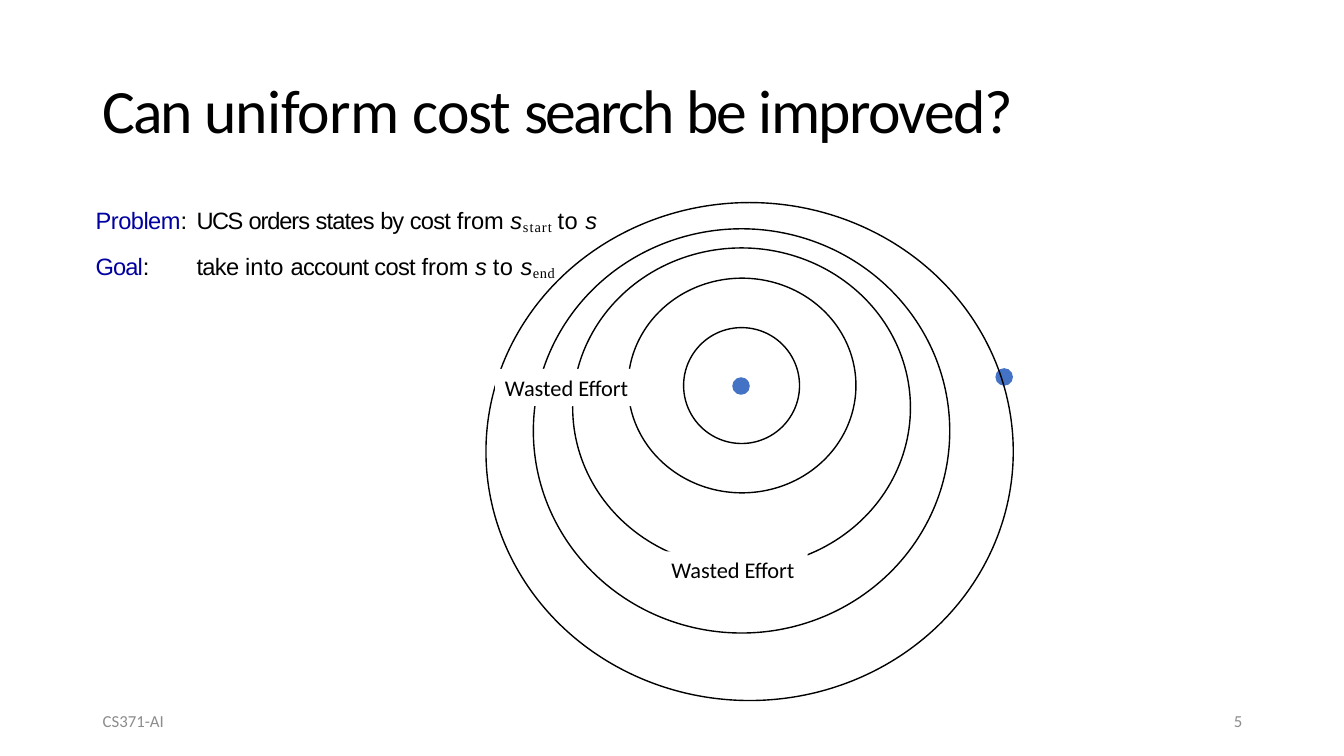
from dataclasses import dataclass

from lxml import etree
from pptx import Presentation
from pptx import util as u
from pptx.dml.color import RGBColor
from pptx.enum import shapes, text
from pptx.oxml import ns

PX = 9144


@dataclass(frozen=True)
class Theme:
    ink: str = "000000"
    paper: str = "FFFFFF"
    accent: str = "4472C4"
    term: str = "0000A0"
    muted: str = "8C8C8C"
    sans: str = "Calibri"
    body: str = "Arial"
    serif: str = "Times New Roman"
    title_size: float = 44
    label_size: float = 16
    body_size: float = 16.9
    sub_size: float = 17.7
    footer_size: float = 12


class SlideBuilder:
    def __init__(self, deck, theme):
        self.page = deck.slides.add_slide(deck.slide_layouts[6])
        self.theme = theme
        self.styles = {
            "title": dict(name=theme.sans, size=theme.title_size, color=theme.ink),
            "label": dict(name=theme.sans, size=theme.label_size, color=theme.ink),
            "footer": dict(name=theme.sans, size=theme.footer_size, color=theme.muted),
            "plain": dict(name=theme.body, size=theme.body_size, color=theme.ink),
            "term": dict(name=theme.body, size=theme.body_size, color=theme.term),
            "state": dict(name=theme.body, size=theme.body_size, color=theme.ink, italic=True),
            "sub": dict(name=theme.serif, size=theme.sub_size, color=theme.ink),
        }

    def add_spans(self, para, spans):
        for words, style, spacing in spans:
            span = para.add_run()
            span.text = words
            values = dict(self.styles[style])
            span.font.color.rgb = RGBColor.from_string(values.pop("color"))
            values["size"] = u.Pt(values["size"])
            for key, value in values.items():
                setattr(span.font, key, value)
            props = span._r.get_or_add_rPr()
            if spacing:
                props.set("spc", str(round(spacing * 100)))
            if style == "sub":
                props.set("baseline", "-13000")

    def text(self, place, spans, **para_format):
        box = self.page.shapes.add_textbox(*(n * PX for n in place))
        frame = box.text_frame
        frame.word_wrap = True
        frame.vertical_anchor = text.MSO_ANCHOR.MIDDLE
        para = frame.paragraphs[0]
        for key, value in para_format.items():
            setattr(para, key, value)
        self.add_spans(para, spans)

    def statements(self, place, top_inset, indent, gap, lines):
        box = self.page.shapes.add_textbox(*(n * PX for n in place))
        frame = box.text_frame
        margins = dict(margin_left=0, margin_top=top_inset * PX, margin_right=0, margin_bottom=0)
        for key, value in dict(word_wrap=True, **margins).items():
            setattr(frame, key, value)
        for index, (tab, spans) in enumerate(lines):
            para = frame.add_paragraph() if index else frame.paragraphs[0]
            props = para._p.get_or_add_pPr()
            props.set("marL", str(indent * PX))
            props.set("indent", "0")
            tabs = etree.SubElement(props, ns.qn("a:tabLst"))
            etree.SubElement(tabs, ns.qn("a:tab"), pos=str(tab * PX), algn="l")
            if index:
                para.space_before = u.Pt(gap)
            self.add_spans(para, spans)

    def shape(self, kind, place, fill=None, line=None):
        figure = self.page.shapes.add_shape(kind, *(n * PX for n in place))
        figure.shadow.inherit = False
        for part, color in ((figure.fill, fill), (figure.line.fill, line)):
            if color:
                part.solid()
                part.fore_color.rgb = RGBColor.from_string(color)
            else:
                part.background()
        if line:
            figure.line.width = u.Pt(1)
        return figure

    def ring(self, place):
        self.shape(shapes.MSO_SHAPE.OVAL, place, line=self.theme.ink)

    def dot(self, left, top):
        accent = self.theme.accent
        self.shape(shapes.MSO_SHAPE.OVAL, (left, top, 16, 16), accent, accent)

    def label(self, left, top, words):
        place = (left, top, 145, 37)
        frame = self.shape(shapes.MSO_SHAPE.RECTANGLE, place, self.theme.paper).text_frame
        frame.word_wrap = False
        frame.vertical_anchor = text.MSO_ANCHOR.TOP
        frame.paragraphs[0].alignment = text.PP_ALIGN.LEFT
        self.add_spans(frame.paragraphs[0], [(words, "label", 0)])


TITLE = [
    ("Can ", "title", -1.7), ("uniform ", "title", -0.5), ("cost ", "title", -0.9),
    ("search ", "title", -1.8), ("be ", "title", -1.6), ("improved?", "title", -1.2),
]
PROBLEM = [
    ("Problem", "term", -0.4), (":\t", "plain", -0.4), ("UCS ", "plain", -1.1),
    ("orders ", "plain", -0.8), ("states ", "plain", -0.6), ("by ", "plain", -0.8),
    ("cost ", "plain", -0.5), ("from ", "plain", -0.1), ("s", "state", 0.5),
    ("start ", "sub", 0.8), ("to ", "plain", 0.3), ("s", "state", -0.4),
]
GOAL = [
    ("Goal", "term", -0.7), (":\t", "plain", -0.7), ("take ", "plain", -0.5),
    ("into ", "plain", 0.1), ("account cost ", "plain", -0.5), ("from ", "plain", -0.1),
    ("s ", "state", -0.4), ("to ", "plain", 0.3), ("s", "state", 0.3), ("end", "sub", 0.5),
]
RINGS = [
    (678, 325, 115, 115), (623, 276, 226, 213), (568, 246, 335, 317),
    (529, 227, 413, 401), (482, 201, 523, 494),
]


def main():
    deck = Presentation()
    deck.slide_width, deck.slide_height = 1333 * PX, 750 * PX
    slide = SlideBuilder(deck, Theme())
    slide.text((92, 40, 1150, 145), TITLE, line_spacing=0.9)
    slide.text((92, 695, 300, 40), [("CS371-AI", "footer", 0)])
    slide.text((942, 695, 300, 40), [("5", "footer", 0)], alignment=text.PP_ALIGN.RIGHT)
    slide.dot(988, 366)
    slide.dot(727, 375)
    for place in RINGS:
        slide.ring(place)
    for left, top in ((491, 366), (656, 547)):
        slide.label(left, top, "Wasted Effort")
    slide.statements((92, 187, 517, 89), 16, 3, 11, [(103, PROBLEM), (65, GOAL)])
    deck.save("out.pptx")


if __name__ == "__main__":
    main()
